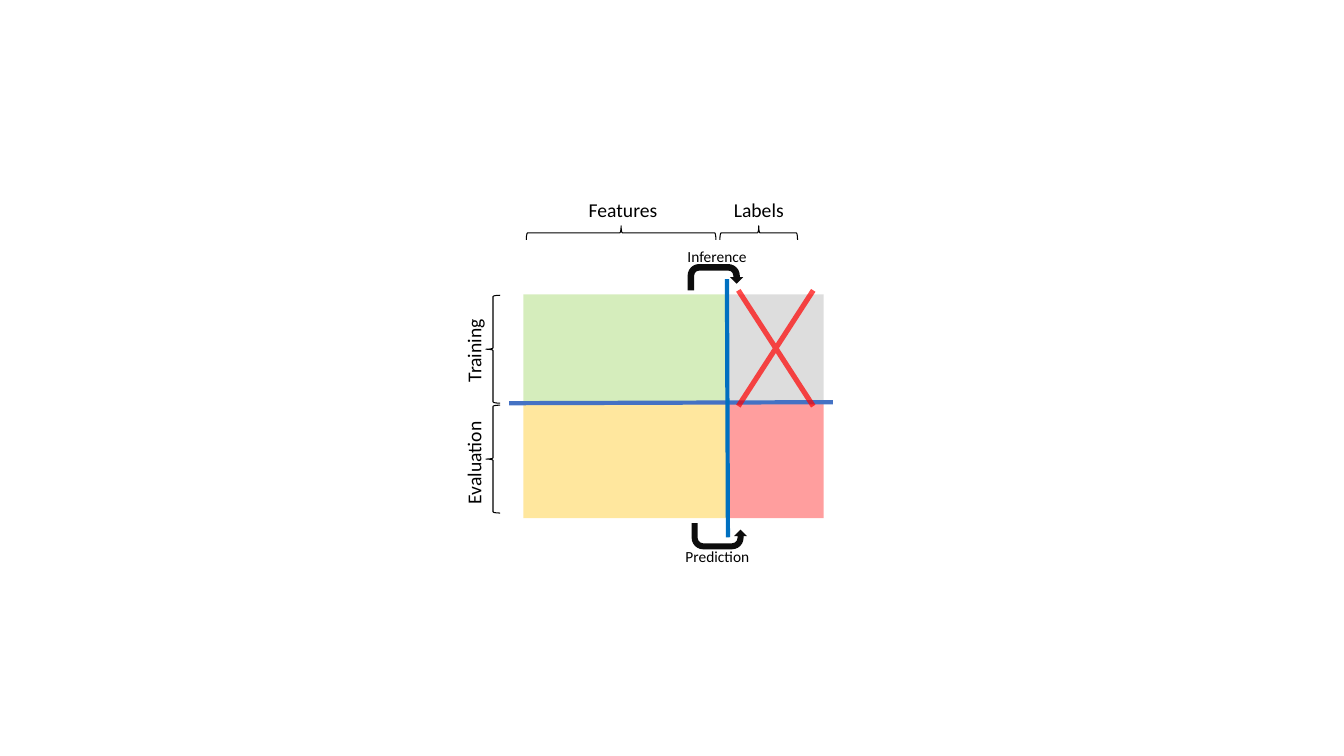
from dataclasses import dataclass

from lxml.etree import SubElement
from pptx import Presentation
from pptx.dml.color import RGBColor
from pptx.enum.shapes import MSO_CONNECTOR, MSO_SHAPE
from pptx.oxml.ns import qn
from pptx.util import Inches, Pt

COLORS = {
    "black": "000000", "arrow": "0D0D0D", "green": "92D050", "gray": "A6A6A6",
    "amber": "FFC000", "red": "FF0000", "row line": "4472C4", "column line": "0070C0",
}
FONT = "Calibri"
GAP = 0.03
BRACE_DEPTH = 0.14
LABEL_HEIGHT = 0.34
LABEL_WIDTH = 1.12


@dataclass
class Box:
    left: float
    top: float
    width: float
    height: float

    @property
    def right(self):
        return self.left + self.width

    @property
    def bottom(self):
        return self.top + self.height

    def inches(self):
        return [Inches(n) for n in (self.left, self.top, self.width, self.height)]

    def turned(self):
        """Box with the same centre and its sides swapped."""
        shift = (self.width - self.height) / 2
        return Box(self.left + shift, self.top - shift, self.height, self.width)


def color(name):
    return RGBColor.from_string(COLORS[name])


def add_filled(slide, kind, box, fill, opacity=100):
    shape = slide.shapes.add_shape(kind, *box.inches())
    shape.shadow.inherit = False
    shape.line.fill.background()
    shape.fill.solid()
    shape.fill.fore_color.rgb = color(fill)
    if opacity < 100:
        tint = shape.fill._xPr.find(".//" + qn("a:srgbClr"))
        SubElement(tint, qn("a:alpha"), val=str(opacity * 1000))
    return shape


def add_brace(slide, box, rotation=0):
    placed = box.turned() if rotation else box
    brace = slide.shapes.add_shape(MSO_SHAPE.LEFT_BRACE, *placed.inches())
    brace.rotation = rotation
    brace.shadow.inherit = False
    brace.fill.background()
    brace.line.color.rgb = color("black")
    brace.line.width = Pt(0.75)


def add_label(slide, text, box, size=14, rotation=0):
    placed = box.turned() if rotation else box
    label = slide.shapes.add_textbox(*placed.inches())
    label.rotation = rotation
    label.text_frame.word_wrap = True
    run = label.text_frame.paragraphs[0].add_run()
    run.text = text
    run.font.name = FONT
    run.font.size = Pt(size)
    run.font.color.rgb = color("black")


def add_divider(slide, start, end, line_color):
    points = [Inches(n) for n in (*start, *end)]
    line = slide.shapes.add_connector(MSO_CONNECTOR.STRAIGHT, *points)
    line.line.color.rgb = color(line_color)
    line.line.width = Pt(3)
    SubElement(line._element.spPr, qn("a:effectLst"))


def add_matrix(slide, box):
    """Four tinted cells, split by a row line and a column line."""
    columns = ((box.left, 2.01), (box.left + 2.01 + GAP, 0.94))
    rows = ((box.top, 1.07), (box.top + 1.06 + GAP, 1.13))
    tints = (("green", "gray"), ("amber", "red"))
    for (top, height), row_tints in zip(rows, tints):
        for (left, width), tint in zip(columns, row_tints):
            add_filled(slide, MSO_SHAPE.RECTANGLE, Box(left, top, width, height), tint, 38)
    row_y, column_x = box.top + 1.08, box.left + 2.02
    add_divider(slide, (box.left - 0.14, row_y), (box.right + 0.09, row_y - 0.01), "row line")
    add_divider(slide, (column_x, box.top - 0.15), (column_x + 0.01, box.bottom + 0.19),
                "column line")


def add_column_headings(slide, box):
    headings = (("Features", 0.03, 1.88, 0.55, LABEL_WIDTH),
                ("Labels", 1.95, 0.77, 1.99, 0.94))
    for text, brace_x, brace_width, label_x, label_width in headings:
        add_brace(slide, Box(box.left + brace_x, box.top - 0.68, brace_width, BRACE_DEPTH), 90)
        add_label(slide, text, Box(box.left + label_x, box.top - 1.01, label_width, LABEL_HEIGHT))


def add_row_headings(slide, box):
    headings = (("Training", 0.01, -0.15), ("Evaluation", 1.10, 1.06))
    for text, brace_y, label_y in headings:
        add_brace(slide, Box(box.left - 0.37, box.top + brace_y, BRACE_DEPTH, 1.07))
        add_label(slide, text, Box(box.left - 0.66, box.top + label_y, LABEL_HEIGHT, LABEL_WIDTH),
                  rotation=270)


def add_steps(slide, box):
    """Arrows from features to labels, above and below the matrix."""
    steps = (("Inference", 1.63, box.top - 0.30, 1.53, box.top - 0.52, False),
             ("Prediction", 1.67, box.bottom + 0.05, 1.51, box.bottom + 0.24, True))
    for text, arrow_x, arrow_top, label_x, label_top, flipped in steps:
        arrow = add_filled(slide, MSO_SHAPE.U_TURN_ARROW,
                           Box(box.left + arrow_x, arrow_top, 0.55, 0.26), "arrow")
        if flipped:
            arrow._element.spPr.xfrm.set("flipV", "1")
            arrow.adjustments[0] = 0.23
        add_label(slide, text, Box(box.left + label_x, label_top, LABEL_WIDTH, 0.29), size=11)


def add_cross(slide, box):
    """Strikes out the training labels."""
    cross = add_filled(slide, MSO_SHAPE.MATH_MULTIPLY,
                       Box(box.left + 1.79, box.top - 0.57, 1.43, 2.21), "red", 70)
    cross.adjustments[0] = 0.036


def main():
    presentation = Presentation()
    presentation.slide_width, presentation.slide_height = Inches(13.33), Inches(7.5)
    slide = presentation.slides.add_slide(presentation.slide_layouts[6])
    matrix = Box(5.19, 2.92, 2.98, 2.22)
    for add_region in (add_matrix, add_column_headings, add_row_headings, add_steps, add_cross):
        add_region(slide, matrix)
    presentation.save("out.pptx")


if __name__ == "__main__":
    main()
